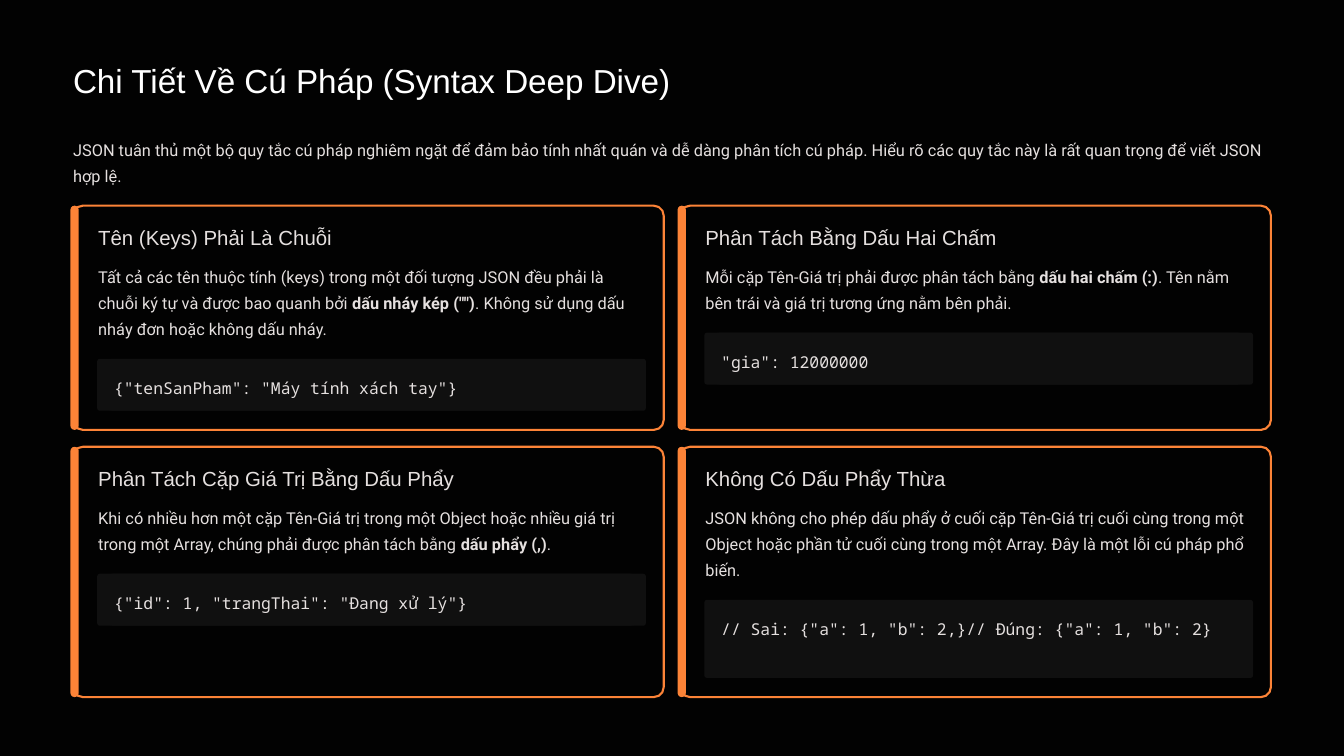
from lxml import etree
from pptx import Presentation
from pptx import util as u
from pptx.dml.color import RGBColor
from pptx.enum import shapes
from pptx.oxml import ns

INK, DARK, GLOW, CODE = "E5E0DF", "030303", "FC8337", "101010"
LEFT, TOP, WIDE = 2.21, 6.22, 17.86
STEP_X, STEP_Y = 18.36, 7.29
LINE = 0.79  # height of one body line

CARDS = [
    ("Tên (Keys) Phải Là Chuỗi",
     "Tất cả các tên thuộc tính (keys) trong một đối tượng JSON đều phải là "
     "chuỗi ký tự và được bao quanh bởi **dấu nháy kép (\"\")**. Không sử dụng "
     "dấu nháy đơn hoặc không dấu nháy.", 3,
     '{"tenSanPham": "Máy tính xách tay"}', 1),
    ("Phân Tách Bằng Dấu Hai Chấm",
     "Mỗi cặp Tên-Giá trị phải được phân tách bằng **dấu hai chấm (:)**. "
     "Tên nằm bên trái và giá trị tương ứng nằm bên phải.", 2,
     '"gia": 12000000', 1),
    ("Phân Tách Cặp Giá Trị Bằng Dấu Phẩy",
     "Khi có nhiều hơn một cặp Tên-Giá trị trong một Object hoặc nhiều giá trị "
     "trong một Array, chúng phải được phân tách bằng **dấu phẩy (,)**.", 2,
     '{"id": 1, "trangThai": "Đang xử lý"}', 1),
    ("Không Có Dấu Phẩy Thừa",
     "JSON không cho phép dấu phẩy ở cuối cặp Tên-Giá trị cuối cùng trong một "
     "Object hoặc phần tử cuối cùng trong một Array. Đây là một lỗi cú pháp "
     "phổ biến.", 3,
     '// Sai: {"a": 1, "b": 2,}// Đúng: {"a": 1, "b": 2}', 2),
]


def tint(code):
    return RGBColor.from_string(code)


def child(node, tag, val=None):
    """Append a drawing element, with a val attribute if given."""
    sub = etree.SubElement(node, ns.qn(tag))
    if val is not None:
        sub.set("val", str(val))
    return sub


class Deck:
    def __init__(self):
        self.prs = Presentation()
        self.prs.slide_width, self.prs.slide_height = u.Cm(40.64), u.Cm(22.86)
        self.slide = self.prs.slides.add_slide(self.prs.slide_layouts[6])
        fill = self.slide.background.fill
        fill.solid()
        fill.fore_color.rgb = tint("000000")

    def box(self, x, y, w, h, fill, line=None, curve=None, alpha=None):
        """Draw a rectangle; curve is the corner radius in cm."""
        kind = shapes.MSO_SHAPE
        form = self.slide.shapes.add_shape(
            kind.ROUNDED_RECTANGLE if curve else kind.RECTANGLE,
            u.Cm(x), u.Cm(y), u.Cm(w), u.Cm(h))
        form.shadow.inherit = False
        if curve:
            form.adjustments[0] = min(0.5, curve / min(w, h))
        form.fill.solid()
        form.fill.fore_color.rgb = tint(fill)
        if alpha:
            clr = form.fill._xPr.find(".//" + ns.qn("a:srgbClr"))
            child(clr, "a:alpha", alpha * 1000)
        if line:
            form.line.color.rgb = tint(line)
            form.line.width = u.Pt(1.8)
        else:
            form.line.fill.background()

    def text(self, words, x, y, w, h, size=14, font="Roboto", color=INK,
             lead=22.5, wrap=True, mark=None):
        """Write one paragraph; **words** between stars are bold."""
        frame = self.slide.shapes.add_textbox(
            u.Cm(x), u.Cm(y), u.Cm(w), u.Cm(h)).text_frame
        frame.margin_left = frame.margin_right = 0
        frame.margin_top = frame.margin_bottom = 0
        frame.word_wrap = wrap
        para = frame.paragraphs[0]
        para.line_spacing = u.Pt(lead)
        for i, part in enumerate(words.split("**")):
            run = para.add_run()
            run.text = part
            run.font.size = u.Pt(size)
            run.font.bold = i % 2 == 1
            run.font.color.rgb = tint(color)
            if mark:
                light = child(run.font._element, "a:highlight")
                child(light, "a:srgbClr", mark)
            run.font.name = font

    def card(self, x, y, h, head, body, rows, code, lines):
        self.box(x, y, WIDE, h, DARK, line=GLOW, curve=0.3, alpha=75)
        self.box(x - 0.08, y, 0.25, h, GLOW, curve=0.13)
        inner = x + 0.76
        self.text(head, inner, y + 0.56, 11, 0.79, size=17.5, font="Arial",
                  lead=22, wrap=False)
        self.text(body, inner, y + 1.65, 16.54, rows * LINE)
        base = y + 2.26 + rows * LINE
        tall = 0.78 + lines * LINE
        self.box(inner, base, 16.54, tall, CODE, curve=0.45)
        self.box(inner - 0.03, base, 16.59, tall, CODE, curve=0.08)
        self.text(code, inner + 0.48, base + 0.38, 15.57, lines * LINE,
                  font="Noto Sans Mono", wrap=lines > 1, mark=CODE)


def main():
    deck = Deck()
    deck.box(0, 0, 40.64, 22.86, DARK, alpha=75)
    deck.text("Chi Tiết Về Cú Pháp (Syntax Deep Dive)", LEFT, 1.78, 18.16,
              1.27, size=28.5, font="Arial", color="FFFFFF", lead=35.5,
              wrap=False)
    deck.text("JSON tuân thủ một bộ quy tắc cú pháp nghiêm ngặt để đảm bảo "
              "tính nhất quán và dễ dàng phân tích cú pháp. Hiểu rõ các quy "
              "tắc này là rất quan trọng để viết JSON hợp lệ.",
              LEFT, 4.04, 36.22, 2 * LINE)
    for i, card in enumerate(CARDS):
        row, col = divmod(i, 2)
        deck.card(LEFT + col * STEP_X, TOP + row * STEP_Y,
                  6.78 + row * LINE, *card)
    deck.prs.save("out.pptx")


if __name__ == "__main__":
    main()
